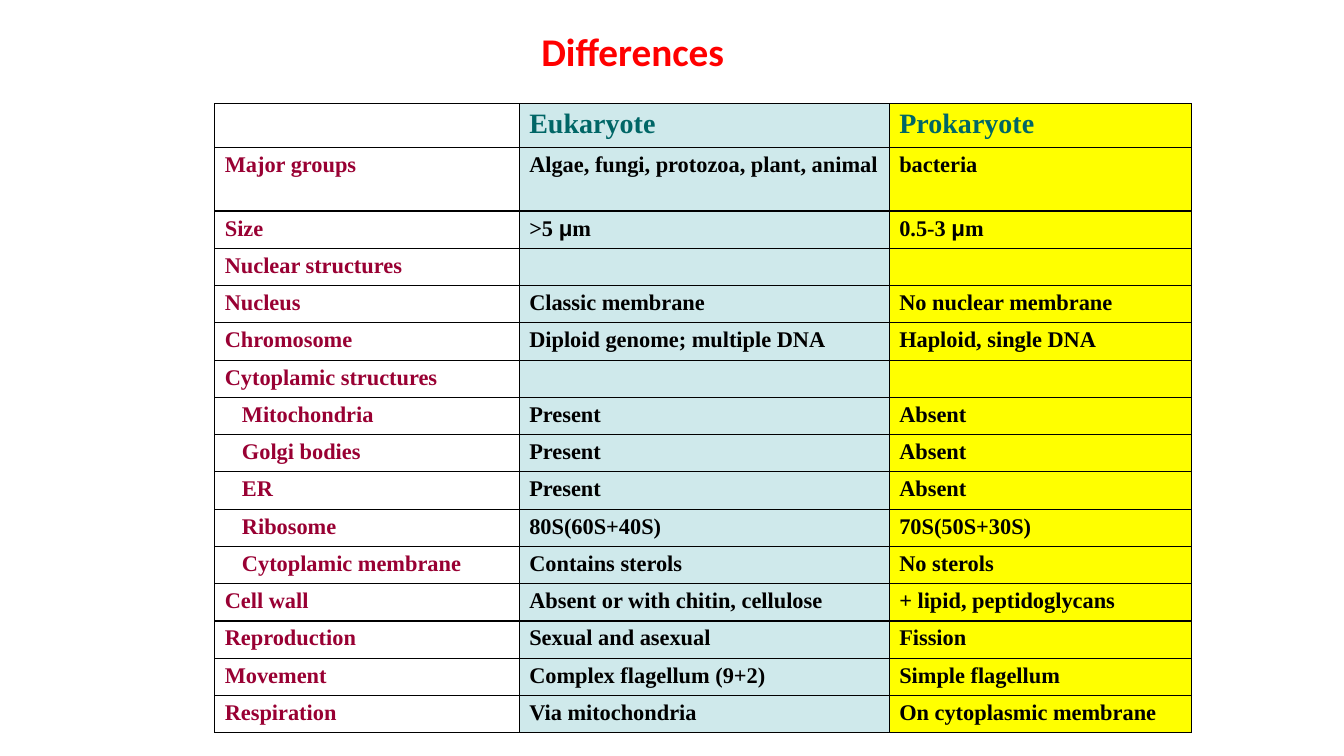
import pptx
import pptx.util
import pptx.dml.color
import pptx.oxml
import pptx.oxml.ns

Inches = pptx.util.Inches
Pt = pptx.util.Pt

TINTS = [None, "CFE9EB", "FFFF00"]
INKS = ["990033", "000000", "000000"]
WIDTHS = [3.02, 3.67, 3]
HEAD = ["", "Eukaryote", "Prokaryote"]
PARTS = ["Mitochondria", "Golgi bodies", "ER", "Ribosome", "Cytoplamic membrane"]
ROWS = [
    ["Major groups", "Algae, fungi, protozoa, plant, animal", "bacteria"],
    ["Size", ">5 μm", "0.5-3 μm"],
    ["Nuclear structures", "", ""],
    ["Nucleus", "Classic membrane", "No nuclear membrane"],
    ["Chromosome", "Diploid genome; multiple DNA", "Haploid, single DNA"],
    ["Cytoplamic structures", "", ""],
    ["Mitochondria", "Present", "Absent"],
    ["Golgi bodies", "Present", "Absent"],
    ["ER", "Present", "Absent"],
    ["Ribosome", "80S(60S+40S)", "70S(50S+30S)"],
    ["Cytoplamic membrane", "Contains sterols", "No sterols"],
    ["Cell wall", "Absent or with chitin, cellulose", "+ lipid, peptidoglycans"],
    ["Reproduction", "Sexual and asexual", "Fission"],
    ["Movement", "Complex flagellum (9+2)", "Simple flagellum"],
    ["Respiration", "Via mitochondria", "On cytoplasmic membrane"],
]


def color(code):
    return pptx.dml.color.RGBColor.from_string(code)


class Page:
    """Holds the table style and the current slide."""

    serif = "Times New Roman"
    symbol = "Arial"
    border = "000000"

    def __init__(self, deck):
        self.slide = deck.slides.add_slide(deck.slide_layouts[6])

    def label(self, para, text, face, size, ink):
        run = para.add_run()
        run.text = text
        style = {"name": face, "size": Pt(size), "bold": True}
        for key, value in style.items():
            setattr(run.font, key, value)
        run.font.color.rgb = color(ink)

    def title(self, text, left, top, width, height):
        box = self.slide.shapes.add_textbox(
            Inches(left), Inches(top), Inches(width), Inches(height))
        box.text_frame.word_wrap = True
        para = box.text_frame.paragraphs[0]
        para.line_spacing = 0.9
        self.label(para, text, "Calibri", 28, "FF0000")

    def edge(self, cell):
        props = cell._tc.get_or_add_tcPr()
        for side in "LRTB":
            props.append(pptx.oxml.parse_xml(
                f'<a:ln{side} {pptx.oxml.ns.nsdecls("a")} w="{Pt(1)}"><a:solidFill>'
                f'<a:srgbClr val="{self.border}"/></a:solidFill></a:ln{side}>'))

    def cell(self, cell, text, size, ink, tint):
        self.edge(cell)
        if tint:
            cell.fill.solid()
            cell.fill.fore_color.rgb = color(tint)
        else:
            cell.fill.background()
        para = cell.text_frame.paragraphs[0]
        shift = 0.17 if text in PARTS else 0
        props = para._p.get_or_add_pPr()
        props.set("marL", str(Inches(0.38)))
        props.set("indent", str(Inches(shift - 0.38)))
        for part in text.partition("μ"):
            if part:
                face = self.symbol if part == "μ" else self.serif
                self.label(para, part, face, size, ink)
        if not text:
            para._p.get_or_add_endParaRPr().set("sz", str(size * 100))

    def table(self, left, top, widths, heights):
        frame = self.slide.shapes.add_table(
            len(heights), len(widths), Inches(left), Inches(top),
            Inches(sum(widths)), Inches(sum(heights)))
        grid = frame.table
        grid.first_row = grid.horz_banding = False
        for col, width in zip(grid.columns, widths):
            col.width = Inches(width)
        for row, height in zip(grid.rows, heights):
            row.height = Inches(height)
        return grid


def main():
    deck = pptx.Presentation()
    deck.slide_width, deck.slide_height = Inches(13.33), Inches(7.5)
    page = Page(deck)
    page.title("Differences", 5.27, 0.27, 3.39, 0.36)
    heights = [0.42, 0.63] + [0.37] * (len(ROWS) - 1)
    grid = page.table(2.13, 1.03, WIDTHS, heights)
    for r, row in enumerate([HEAD] + ROWS):
        for c, text in enumerate(row):
            size, ink = (16, INKS[c]) if r else (20, "006666")
            page.cell(grid.cell(r, c), text, size, ink, TINTS[c])
    deck.save("out.pptx")


if __name__ == "__main__":
    main()
